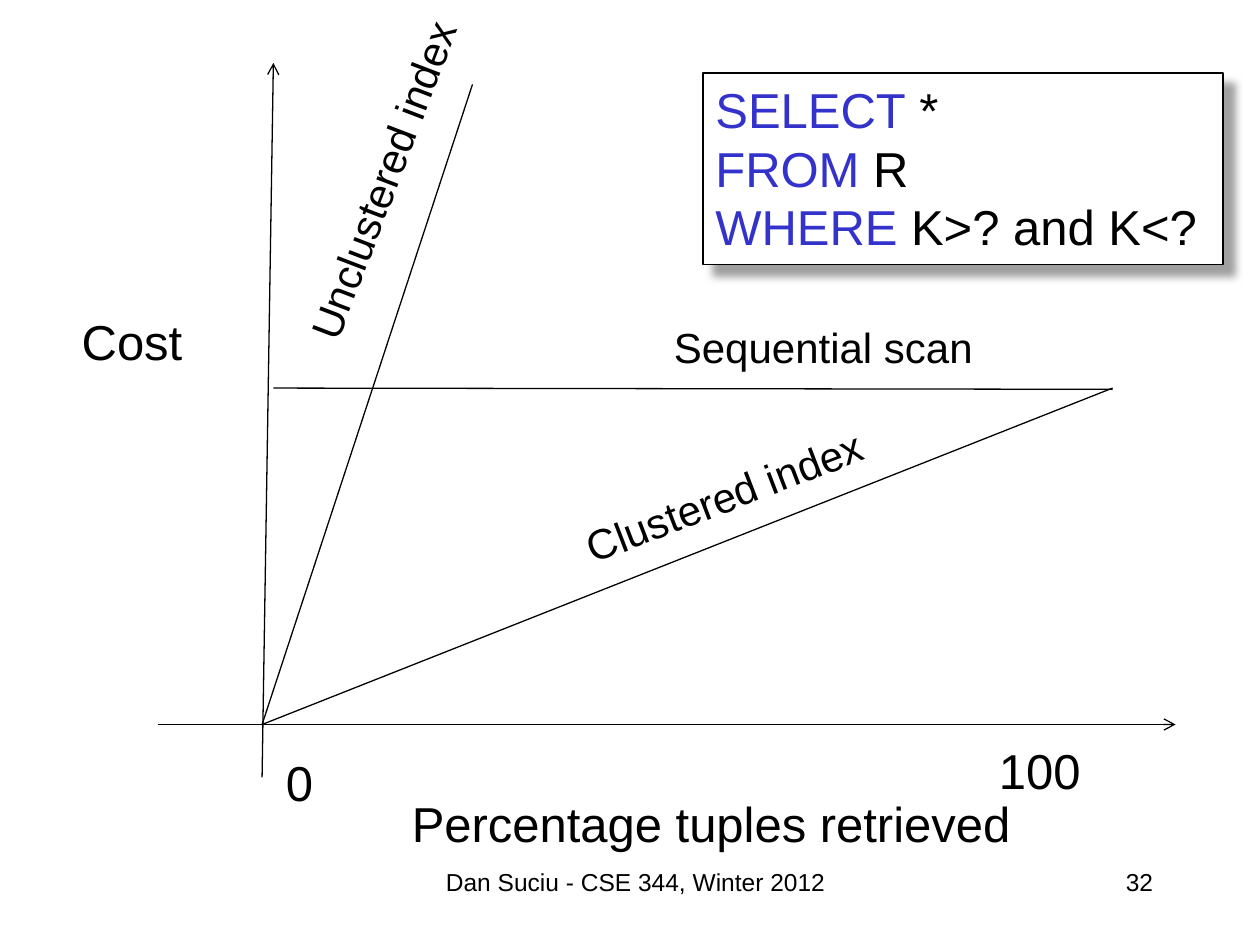
from dataclasses import dataclass

from lxml.etree import SubElement
from pptx import Presentation
from pptx.dml.color import RGBColor
from pptx.enum.shapes import MSO_CONNECTOR, MSO_SHAPE
from pptx.enum.text import MSO_ANCHOR, MSO_AUTO_SIZE, PP_ALIGN
from pptx.oxml.ns import qn
from pptx.util import Inches, Pt


@dataclass(frozen=True)
class Theme:
    font: str = "Arial"
    ink: RGBColor = RGBColor(0x00, 0x00, 0x00)
    paper: RGBColor = RGBColor(0xFF, 0xFF, 0xFF)
    keyword: RGBColor = RGBColor(0x33, 0x33, 0xCC)
    shadow: str = "808080"
    large: int = 28
    medium: int = 24
    small: int = 14


THEME = Theme()
ORIGIN = (2.08, 5.75)
SCAN_END = (8.83, 3.08)

AXES = [
    ((2.08, 6.17), (2.17, 0.5)),
    ((1.25, 5.75), (9.33, 5.75)),
]
CURVES = [
    ((2.17, 3.08), (8.83, 3.09)),
    (ORIGIN, SCAN_END),
    (ORIGIN, (3.75, 0.67)),
]
AXIS_LABELS = [
    ("Percentage tuples retrieved", (3.17, 6.25, 5, 0.57)),
    ("Cost", (0.55, 2.42, 1.01, 0.57)),
    ("0", (2.17, 5.92, 0.42, 0.57)),
    ("100", (7.83, 5.83, 0.86, 0.57)),
]
CURVE_LABELS = [
    ("Sequential scan", (5.25, 2.5, 2.6, 0.5), 0),
    ("Clustered index", (4.49, 3.68, 2.54, 0.5), 338.9),
    ("Unclustered index", (1.59, 1.16, 2.9, 0.5), 290.8),
]
FOOTERS = [
    ("32", (7.17, 6.83, 2.08, 0.5), PP_ALIGN.RIGHT),
    ("Dan Suciu - CSE 344, Winter 2012", (3.17, 6.83, 3.75, 0.5), PP_ALIGN.CENTER),
]
QUERY = [("SELECT", " *"), ("FROM", " R"), ("WHERE", " K>? and K<?")]


def inches(values):
    return [Inches(v) for v in values]


def apply(obj, formats):
    for name, value in formats.items():
        setattr(obj, name, value)


def add_run(p, text, size, color=THEME.ink):
    r = p.add_run()
    r.text = text
    apply(r.font, {"name": THEME.font, "size": Pt(size)})
    r.font.color.rgb = color


def add_label(s, text, box, size, align=PP_ALIGN.LEFT, wrap=False, rotation=0):
    sp = s.shapes.add_textbox(*inches(box))
    sp.rotation = rotation
    fit = MSO_AUTO_SIZE.NONE if wrap else MSO_AUTO_SIZE.SHAPE_TO_FIT_TEXT
    apply(sp.text_frame, {"word_wrap": wrap, "auto_size": fit})
    p = sp.text_frame.paragraphs[0]
    p.alignment = align
    add_run(p, text, size)


def add_line(s, start, end, arrow=False):
    line = s.shapes.add_connector(MSO_CONNECTOR.STRAIGHT, *inches(start + end))
    line.line.color.rgb = THEME.ink
    line.line.width = Pt(0.75)
    if arrow:
        SubElement(line.line._get_or_add_ln(), qn("a:tailEnd"), type="arrow")
    SubElement(line._element.spPr, qn("a:effectLst"))


def add_shadow(sp):
    sp.shadow.inherit = False
    effects = sp._element.spPr.find(qn("a:effectLst"))
    shadow = SubElement(
        effects, qn("a:outerShdw"), blurRad=str(Pt(5)), dist=str(Pt(8.5)),
        dir=str(45 * 60000), algn="tl", rotWithShape="0",
    )
    color = SubElement(shadow, qn("a:srgbClr"), val=THEME.shadow)
    SubElement(color, qn("a:alpha"), val="75000")


def add_query(s, lines, box):
    sp = s.shapes.add_shape(MSO_SHAPE.RECTANGLE, *inches(box))
    sp.fill.solid()
    sp.fill.fore_color.rgb = THEME.paper
    sp.line.color.rgb = THEME.ink
    sp.line.width = Pt(1)
    add_shadow(sp)
    tf = sp.text_frame
    apply(tf, {
        "word_wrap": False,
        "auto_size": MSO_AUTO_SIZE.SHAPE_TO_FIT_TEXT,
        "vertical_anchor": MSO_ANCHOR.TOP,
    })
    p = tf.paragraphs[0]
    p.alignment = PP_ALIGN.LEFT
    for i, (keyword, rest) in enumerate(lines):
        if i:
            p.add_line_break()
        add_run(p, keyword, THEME.large, THEME.keyword)
        add_run(p, rest, THEME.large)


def main():
    prs = Presentation()
    apply(prs, {"slide_width": Inches(10), "slide_height": Inches(7.5)})
    s = prs.slides.add_slide(prs.slide_layouts[6])
    for start, end in AXES:
        add_line(s, start, end, arrow=True)
    for text, box in AXIS_LABELS:
        add_label(s, text, box, THEME.large)
    for start, end in CURVES:
        add_line(s, start, end)
    for text, box, rotation in CURVE_LABELS:
        add_label(s, text, box, THEME.medium, rotation=rotation)
    add_query(s, QUERY, (5.58, 0.58, 4.13, 1.52))
    for text, box, align in FOOTERS:
        add_label(s, text, box, THEME.small, align, wrap=True)
    prs.save("out.pptx")


if __name__ == "__main__":
    main()
